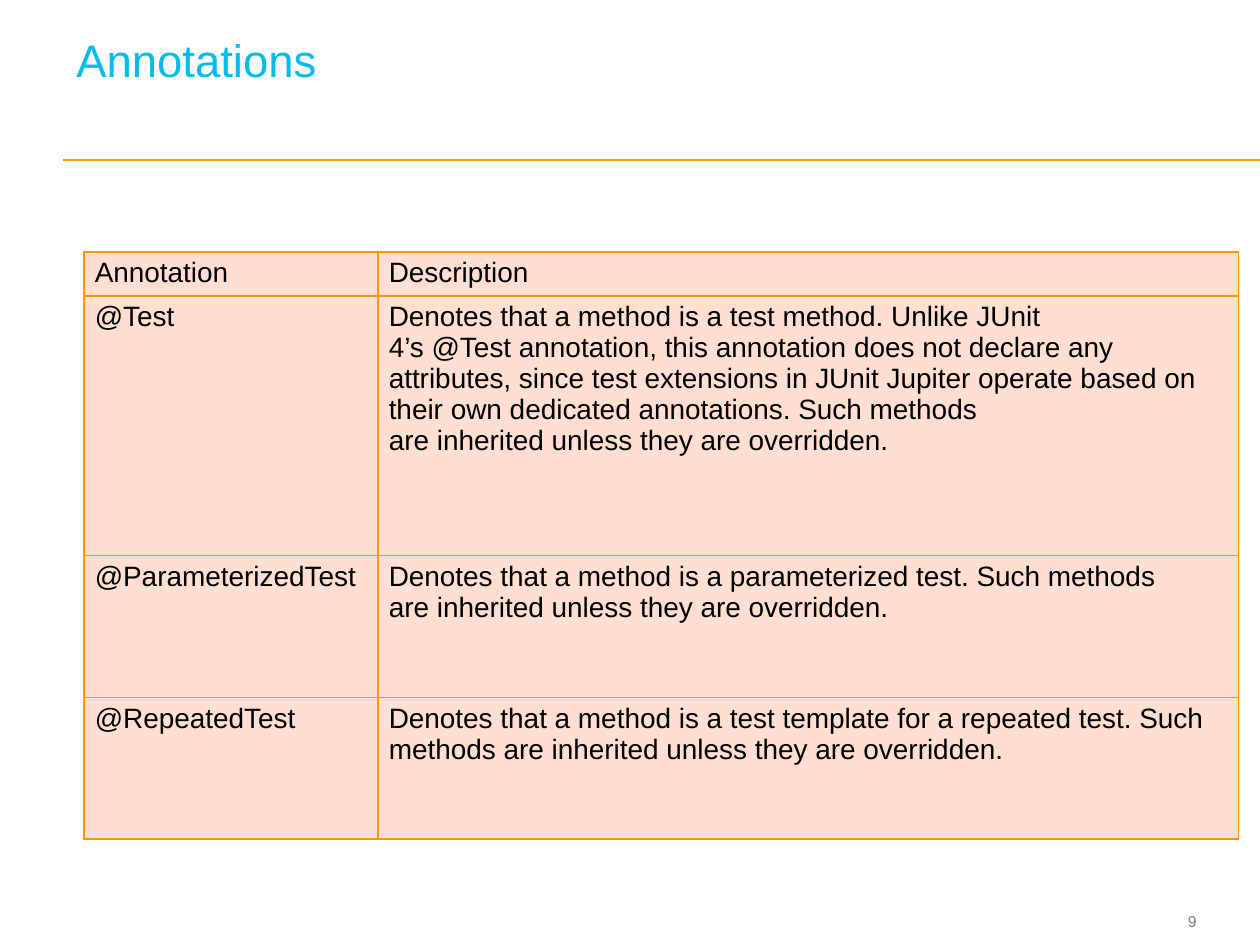
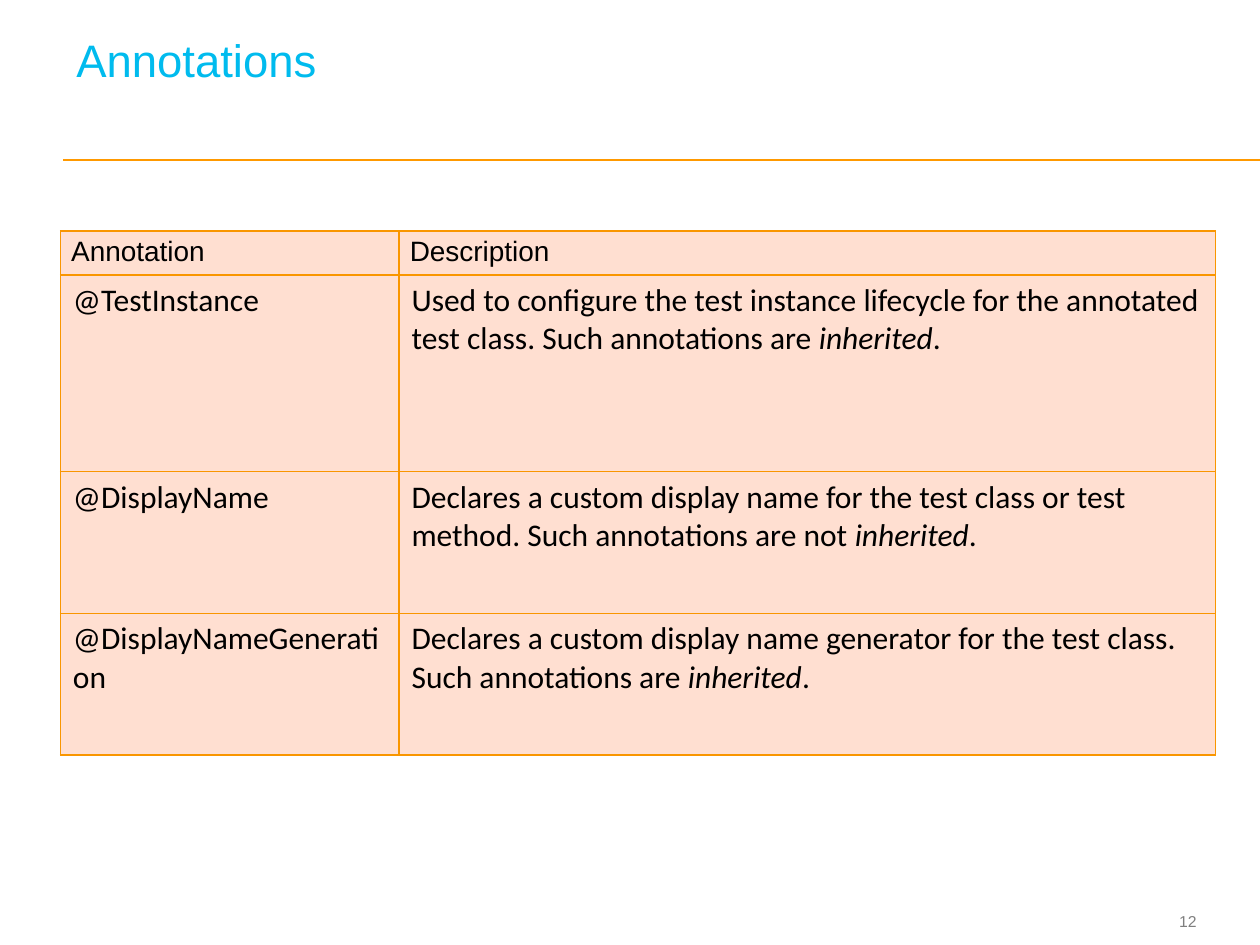
from lxml import etree
from pptx import Presentation
from pptx import util as u
from pptx.dml.color import RGBColor
from pptx.enum import shapes, text
from pptx.oxml import ns

TITLE_BLUE = RGBColor(0x00, 0xBB, 0xEE)
RULE_ORANGE = RGBColor(0xFF, 0x99, 0x00)
BORDER_ORANGE = RGBColor(0xF9, 0x96, 0x00)
CELL_PEACH = RGBColor(0xFF, 0xDF, 0xD1)
NUMBER_GREY = RGBColor(0x7F, 0x7F, 0x7F)
BLACK = RGBColor(0x00, 0x00, 0x00)

HEADER = ("Annotation", "Description")
HEADER_MARGINS = (6.2, 3)
EMPHASIS = "inherited"
NO_BREAK_SPACE = chr(160)  # written as ~ in the entries below

# Content of each slide; emphasis sets the repeated word in italics
pages = [
    {
        "number": "9",
        "left": 48, "top": 144,
        "columns": (168, 492), "rows": (24.8, 148.5, 81, 80.8),
        "font": "Arial", "size": 16, "margins": HEADER_MARGINS, "emphasis": False,
        "entries": [
            ("@Test",
             "Denotes that a method is a test method. Unlike JUnit 4’s~@Test~annotation, "
             "this annotation does not declare any attributes, since test extensions in "
             "JUnit Jupiter operate based on their own dedicated annotations. Such methods "
             "are~inherited~unless they are~overridden."),
            ("@ParameterizedTest",
             "Denotes that a method is a~parameterized test. Such methods "
             "are~inherited~unless they are~overridden."),
            ("@RepeatedTest",
             "Denotes that a method is a test template for a~repeated test. Such methods "
             "are~inherited~unless they are~overridden."),
        ],
    },
    {
        "number": "12",
        "left": 34.5, "top": 132,
        "columns": (193.5, 466.5), "rows": (24.8, 112.5, 81, 80.8),
        "font": "Calibri", "size": 18, "margins": (7.2, 3.6), "emphasis": True,
        "entries": [
            ("@TestInstance",
             "Used to configure the~test instance lifecycle~for the annotated test class. "
             "Such annotations are~inherited."),
            ("@DisplayName",
             "Declares a custom~display name~for the test class or test method. "
             "Such annotations are not~inherited."),
            ("@DisplayNameGeneration",
             "Declares a custom~display name generator~for the test class. "
             "Such annotations are~inherited."),
        ],
    },
]


def add_label(slide, box, words, size, color):
    """Add a one-line Arial text box without insets and return its shape."""
    shape = slide.shapes.add_textbox(*[u.Pt(length) for length in box])
    frame = shape.text_frame
    frame.word_wrap = True
    frame.margin_left = frame.margin_right = frame.margin_top = frame.margin_bottom = 0
    frame.text = words
    font = frame.paragraphs[0].runs[0].font
    font.name, font.size, font.color.rgb = "Arial", u.Pt(size), color
    return shape


def style_cell(cell, margins):
    """Give a cell its insets, borders and fill."""
    cell.margin_left = cell.margin_right = u.Pt(margins[0])
    cell.margin_top = cell.margin_bottom = u.Pt(margins[1])
    properties = cell._tc.get_or_add_tcPr()
    for side in ("lnL", "lnR", "lnT", "lnB"):
        border = etree.SubElement(properties, ns.qn(f"a:{side}"), w=str(u.Pt(0.75)))
        solid = etree.SubElement(border, ns.qn("a:solidFill"))
        etree.SubElement(solid, ns.qn("a:srgbClr"), val=str(BORDER_ORANGE))
    cell.fill.solid()
    cell.fill.fore_color.rgb = CELL_PEACH


presentation = Presentation()
presentation.slide_width = u.Pt(720)
presentation.slide_height = u.Pt(540)

for page in pages:
    slide = presentation.slides.add_slide(presentation.slide_layouts[6])

    # Rule under the title
    rule = slide.shapes.add_connector(
        shapes.MSO_CONNECTOR.STRAIGHT, u.Pt(36), u.Pt(91.5), u.Pt(720), u.Pt(91.5))
    rule.line.color.rgb = RULE_ORANGE
    rule.line.width = u.Pt(1)
    etree.SubElement(rule._element.spPr, ns.qn("a:effectLst"))

    # Slide number
    number = add_label(slide, (641.5, 516.6, 42.2, 19.4), page["number"], 9, NUMBER_GREY)
    number.text_frame.vertical_anchor = text.MSO_ANCHOR.MIDDLE
    number.text_frame.paragraphs[0].alignment = text.PP_ALIGN.RIGHT

    # Title, one line above the bottom of its box
    title = add_label(slide, (36, 13.5, 646, 62), "Annotations", 26, TITLE_BLUE)
    title.text_frame.vertical_anchor = text.MSO_ANCHOR.BOTTOM
    title.text_frame.margin_left = u.Pt(7.6)
    title.text_frame.margin_bottom = u.Pt(26)
    title.text_frame.paragraphs[0].line_spacing = u.Pt(26)

    # Table of annotations
    entries = [HEADER] + page["entries"]
    table = slide.shapes.add_table(
        len(entries), len(HEADER), u.Pt(page["left"]), u.Pt(page["top"]),
        u.Pt(sum(page["columns"])), u.Pt(sum(page["rows"]))).table
    for column, width in zip(table.columns, page["columns"]):
        column.width = u.Pt(width)
    for row, height in zip(table.rows, page["rows"]):
        row.height = u.Pt(height)

    for row_index, entry in enumerate(entries):
        is_header = row_index == 0
        name, size = ("Arial", 16) if is_header else (page["font"], page["size"])
        for column_index, words in enumerate(entry):
            cell = table.cell(row_index, column_index)
            style_cell(cell, HEADER_MARGINS if is_header else page["margins"])
            paragraph = cell.text_frame.paragraphs[0]
            words = words.replace("~", NO_BREAK_SPACE)
            parts = words.partition(EMPHASIS) if page["emphasis"] else (words,)
            for part in filter(None, parts):
                run = paragraph.add_run()
                run.text = part
                run.font.name, run.font.size = name, u.Pt(size)
                run.font.color.rgb = BLACK
                run.font.bold = False
                run.font.italic = page["emphasis"] and part == EMPHASIS

presentation.save("out.pptx")
